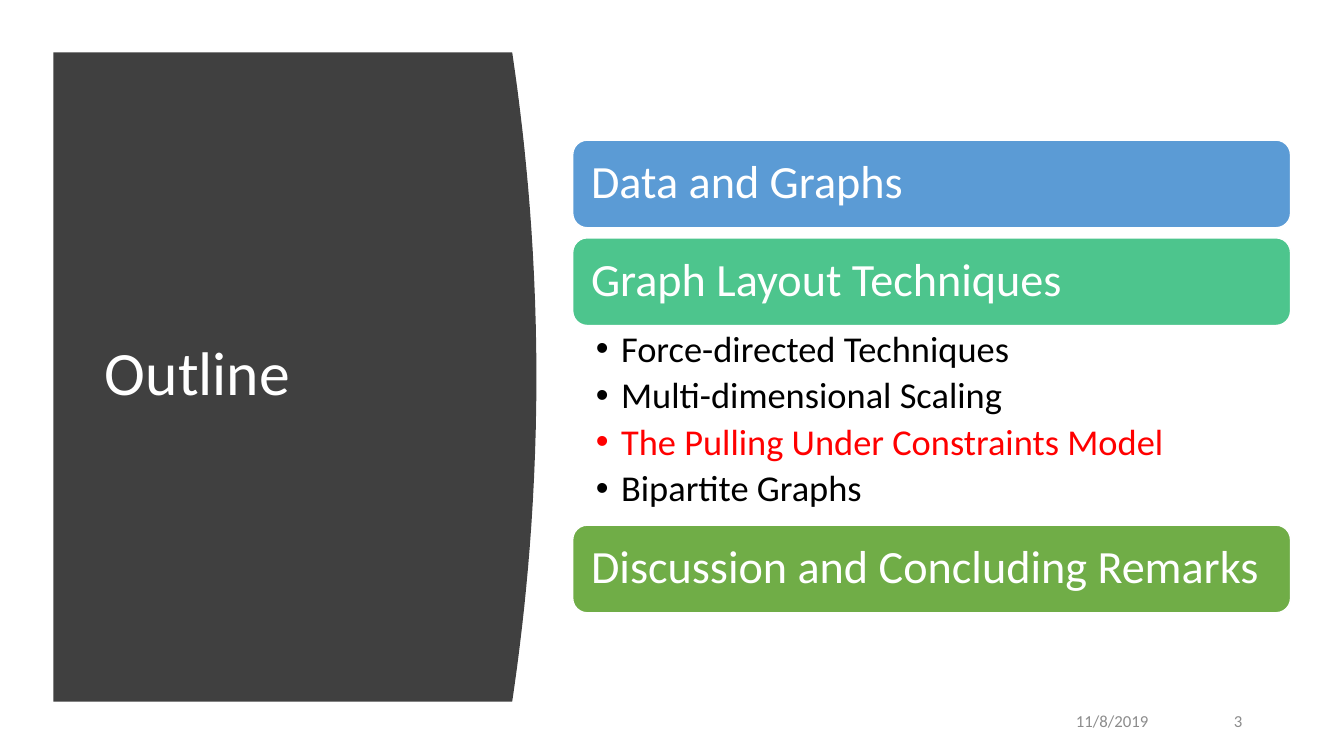
from math import pi, cos
from pptx import Presentation
from pptx.dml.color import RGBColor
from pptx.enum.shapes import MSO_SHAPE
from pptx.enum.text import MSO_ANCHOR, MSO_AUTO_SIZE, PP_ALIGN
from pptx.util import Inches, Pt

WHITE, BLACK, RED = "FFFFFF", "000000", "FF0000"
DARK, GREY = "404040", "8C8C8C"
BLUE, TEAL, GREEN = "5B9BD5", "4DC58D", "70AD47"
TOPICS = [
    ("Force-directed Techniques", BLACK),
    ("Multi-dimensional Scaling", BLACK),
    ("The Pulling Under Constraints Model", RED),
    ("Bipartite Graphs", BLACK),
]


def color(code):
    return RGBColor.from_string(code)


def paint(shape, fill, line=None):
    shape.shadow.inherit = False
    shape.fill.solid()
    shape.fill.fore_color.rgb = color(fill)
    if line:
        shape.line.color.rgb = color(line)
        shape.line.width = Pt(1)
    else:
        shape.line.fill.background()


def place(shape, x, y, w, h):
    shape.left, shape.top = Inches(x), Inches(y)
    shape.width, shape.height = Inches(w), Inches(h)


def style(para, size, code, align=PP_ALIGN.LEFT, spacing=0.9):
    para.alignment = align
    para.line_spacing = spacing
    for run in para.runs:
        run.font.name = "Calibri"
        run.font.size = Pt(size)
        run.font.color.rgb = color(code)


def setup(frame, anchor, left=0.1, right=0.1):
    frame.word_wrap = True
    frame.auto_size = MSO_AUTO_SIZE.NONE
    frame.vertical_anchor = anchor
    frame.margin_left, frame.margin_right = Inches(left), Inches(right)
    frame.margin_top = frame.margin_bottom = Inches(0.05)


def add_panel(slide, x, y, w, h, bulge=0.24, steps=40):
    # Dark panel whose right side bows outwards
    edge = x + w - bulge
    curve = []
    for i in range(steps + 1):
        t = -cos(pi * i / steps)
        curve.append((edge + bulge * (1 - t * t), y + h * (1 + t) / 2))
    form = slide.shapes.build_freeform(Inches(x), Inches(y), scale=1.0)
    points = curve + [(x, y + h)]
    form.add_line_segments([(Inches(a), Inches(b)) for a, b in points])
    panel = form.convert_to_shape()
    paint(panel, DARK)

    # Title on top of the panel
    title = slide.shapes.title
    title.element.addprevious(panel.element)
    place(title, x + 0.41, y + 0.59, w - 1.05, h - 1.2)
    title.text_frame.text = "Outline"
    setup(title.text_frame, MSO_ANCHOR.MIDDLE)
    style(title.text_frame.paragraphs[0], 44, WHITE)


def add_bar(slide, x, y, w, h, text, fill):
    bar = slide.shapes.add_shape(
        MSO_SHAPE.ROUNDED_RECTANGLE, Inches(x), Inches(y), Inches(w), Inches(h))
    paint(bar, fill, WHITE)
    bar.text_frame.text = text
    setup(bar.text_frame, MSO_ANCHOR.MIDDLE, 0.14, 0.14)
    style(bar.text_frame.paragraphs[0], 33, WHITE)


def add_list(slide, x, y, w, h):
    body = slide.placeholders[1]
    place(body, x, y, w, h)
    frame = body.text_frame
    frame.text = "\n".join(text for text, _ in TOPICS)
    setup(frame, MSO_ANCHOR.TOP, 0.23, 0.26)
    for para, (_, code) in zip(frame.paragraphs, TOPICS):
        style(para, 26, code)
        para.space_before, para.space_after = Pt(0), Pt(5.2)
        props = para._p.get_or_add_pPr()
        props.set("marL", str(Inches(0.25)))
        props.set("indent", str(Inches(-0.25)))


def add_agenda(slide, x, y, w, bar=0.87, gap=0.1, room=1.98):
    # Section bars, with the topics below the second one
    second = y + bar + gap
    topics = second + bar
    add_bar(slide, x, y, w, bar, "Data and Graphs", BLUE)
    add_bar(slide, x, second, w, bar, "Graph Layout Techniques", TEAL)
    add_list(slide, x, topics, w, room)
    add_bar(slide, x, topics + room, w, bar,
            "Discussion and Concluding Remarks", GREEN)


def add_footer(slide, y, h):
    # Date and page number
    for text, x, w in (("11/8/2019", 8.49, 3), ("3", 11.73, 0.69)):
        box = slide.shapes.add_textbox(Inches(x), Inches(y), Inches(w), Inches(h))
        box.text_frame.text = text
        setup(box.text_frame, MSO_ANCHOR.MIDDLE)
        style(box.text_frame.paragraphs[0], 12, GREY, PP_ALIGN.RIGHT, 1.0)


def main():
    deck = Presentation()
    deck.slide_width, deck.slide_height = Inches(13.33), Inches(7.5)
    slide = deck.slides.add_slide(deck.slide_layouts[1])
    add_panel(slide, 0.53, 0.52, 4.79, 6.44)
    add_agenda(slide, 5.68, 1.39, 7.12)
    add_footer(slide, 6.95, 0.4)
    deck.save("out.pptx")


if __name__ == "__main__":
    main()
